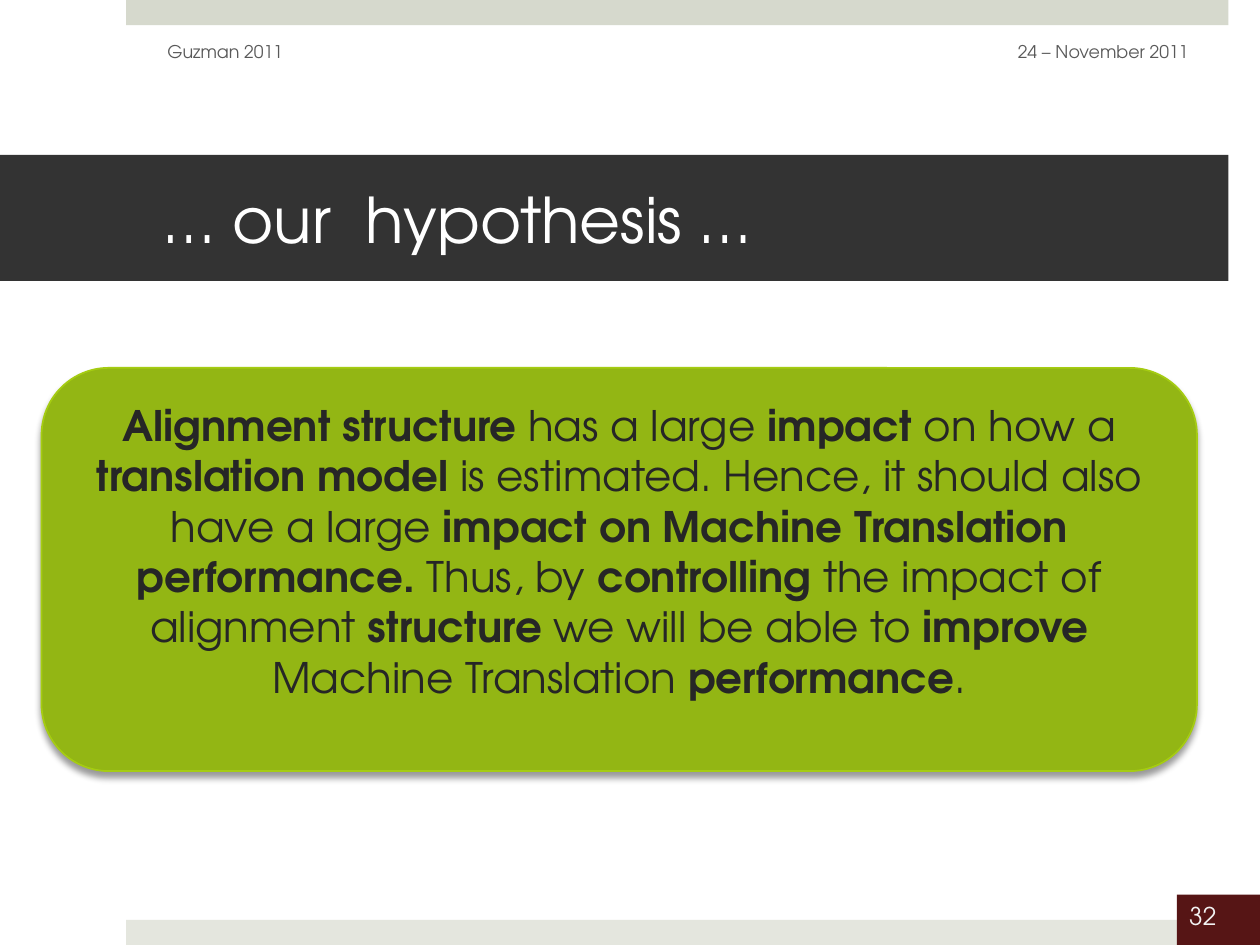
from lxml import etree
from pptx import Presentation
from pptx.dml.color import RGBColor
from pptx.enum.shapes import MSO_SHAPE
from pptx.enum.text import MSO_ANCHOR, MSO_AUTO_SIZE, PP_ALIGN
from pptx.oxml.ns import qn
from pptx.util import Inches, Pt

RECT, ROUNDED = MSO_SHAPE.RECTANGLE, MSO_SHAPE.ROUNDED_RECTANGLE
TOP, MIDDLE = MSO_ANCHOR.TOP, MSO_ANCHOR.MIDDLE
LEFT, CENTER, RIGHT = PP_ALIGN.LEFT, PP_ALIGN.CENTER, PP_ALIGN.RIGHT
NO_AUTOFIT = MSO_AUTO_SIZE.NONE
TITLE_ONLY = 5

COLORS = {
    "top band": "D6D9CD",
    "bottom band": "E4E6DE",
    "number box": "561515",
    "number": "F2F2F2",
    "title bar": "333333",
    "title": "FFFFFF",
    "panel": "93B614",
    "panel edge": "A5CC12",
    "statement": "262626",
    "header": "595959",
    "shadow": "000000",
}

STATEMENT = [
    ("Alignment structure", True),
    (" has a large", False),
    (" impact ", True),
    ("on how a ", False),
    ("translation model ", True),
    ("is estimated. Hence, it should also have a large ", False),
    ("impact on Machine Translation performance.", True),
    (" Thus, by ", False),
    ("controlling ", True),
    ("the impact of alignment ", False),
    ("structure", True),
    (" we will be able to ", False),
    ("improve", True),
    (" Machine Translation ", False),
    ("performance", True),
    (".", False),
]


class SlideBuilder:
    font_name = "TeX Gyre Adventor"

    def __init__(self, slide):
        self.slide = slide

    def color(self, name):
        return RGBColor.from_string(COLORS[name])

    def paint(self, shape, fill):
        shape.fill.solid()
        shape.fill.fore_color.rgb = self.color(fill)

    def fill_text(self, shape, runs, size, color, align=LEFT, anchor=MIDDLE,
                  insets=(0.1, 0.05, 0.1, 0.05)):
        frame = shape.text_frame
        left, top, right, bottom = map(Inches, insets)
        frame_format = {
            "word_wrap": True, "auto_size": NO_AUTOFIT,
            "vertical_anchor": anchor, "margin_left": left,
            "margin_top": top, "margin_right": right, "margin_bottom": bottom,
        }
        for attribute, value in frame_format.items():
            setattr(frame, attribute, value)
        paragraph = frame.paragraphs[0]
        paragraph.alignment = align
        for text, bold in runs:
            run = paragraph.add_run()
            run.text = text
            run_format = {"name": self.font_name, "size": Pt(size), "bold": bold}
            for attribute, value in run_format.items():
                setattr(run.font, attribute, value)
            run.font.color.rgb = self.color(color)

    def box(self, bounds, fill, preset=RECT):
        shape = self.slide.shapes.add_shape(preset, *map(Inches, bounds))
        shape.shadow.inherit = False
        self.paint(shape, fill)
        shape.line.fill.background()
        return shape

    def title(self, bounds, text):
        title = self.slide.shapes.title
        title.left, title.top, title.width, title.height = map(Inches, bounds)
        self.paint(title, "title bar")
        self.fill_text(title, [(text, False)], 36, "title", insets=(1.3, 0.05, 0.3, 0.05))

    def header(self, bounds, text, align):
        header = self.slide.shapes.add_textbox(*map(Inches, bounds))
        self.fill_text(header, [(text, False)], 10, "header", align)

    def panel(self, bounds, runs):
        panel = self.box(bounds, "panel", ROUNDED)
        panel.line.color.rgb = self.color("panel edge")
        panel.line.width = Pt(1)
        effects = panel._element.spPr.find(qn("a:effectLst"))
        shadow = etree.SubElement(
            effects, qn("a:outerShdw"), blurRad=str(Pt(4)), dist=str(Pt(3)),
            dir="5400000", rotWithShape="0")
        tint = etree.SubElement(shadow, qn("a:srgbClr"), val=COLORS["shadow"])
        etree.SubElement(tint, qn("a:alpha"), val="40000")
        self.fill_text(panel, runs, 24, "statement", CENTER, insets=(0.1, 0.05, 0.1, 0.35))


def main():
    presentation = Presentation()
    presentation.slide_width = Inches(10)
    presentation.slide_height = Inches(7.5)
    layout = presentation.slide_layouts[TITLE_ONLY]
    builder = SlideBuilder(presentation.slides.add_slide(layout))

    builder.box((1, 0, 8.75, 0.2), "top band")
    builder.box((1, 7.3, 8.75, 0.2), "bottom band")
    page_number = builder.box((9.34, 7.1, 0.66, 0.4), "number box")
    builder.fill_text(page_number, [("32", False)], 14, "number", anchor=TOP)
    builder.title((0, 1.23, 9.75, 1), "… our  hypothesis …")
    builder.panel((0.33, 2.92, 9.17, 3.2), STATEMENT)
    builder.header((7.2, 0.21, 2.33, 0.4), "24 – November 2011", RIGHT)
    builder.header((1.23, 0.21, 3.17, 0.4), "Guzman 2011", LEFT)

    presentation.save("out.pptx")


if __name__ == "__main__":
    main()
